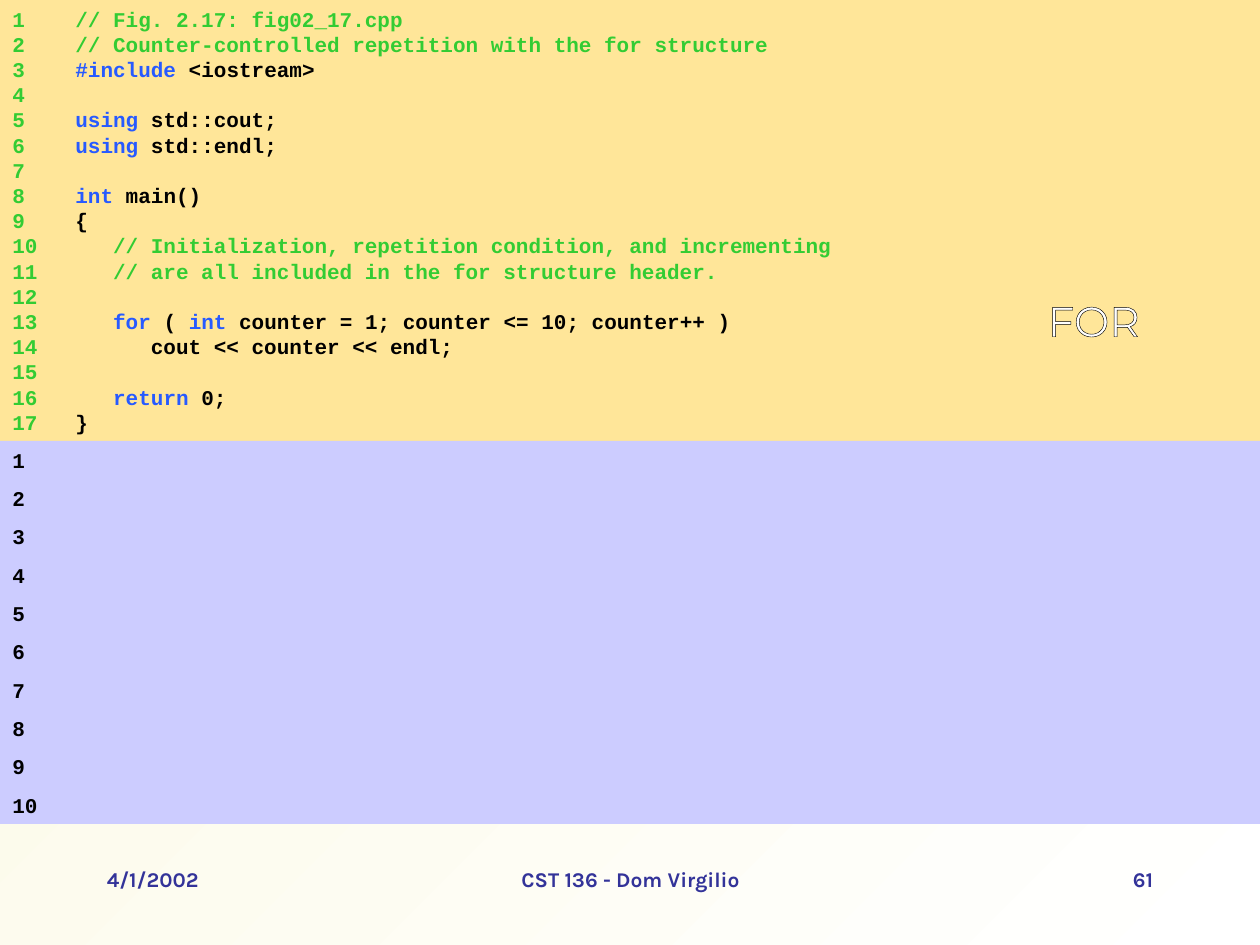
from itertools import groupby

from lxml.etree import SubElement
from pptx import Presentation
from pptx.dml.color import RGBColor
from pptx.enum.shapes import MSO_SHAPE
from pptx.enum.text import MSO_ANCHOR, PP_ALIGN
from pptx.oxml.ns import qn
from pptx.util import Inches, Pt

# Content
CODE = """\
// Fig. 2.17: fig02_17.cpp
// Counter-controlled repetition with the for structure
#include <iostream>

using std::cout;
using std::endl;

int main()
{
   // Initialization, repetition condition, and incrementing
   // are all included in the for structure header.

   for ( int counter = 1; counter <= 10; counter++ )
      cout << counter << endl;

   return 0;
}""".split("\n")
KEYWORDS = {"#include", "using", "int", "for", "return"}
OUTPUT = [str(number) for number in range(1, 11)]
FOOTER = [  # text, left, width, alignment
    ("4/1/2002", 0.75, 2.08, PP_ALIGN.LEFT),
    ("CST 136 - Dom Virgilio", 3.42, 3.17, PP_ALIGN.CENTER),
    ("61", 7.17, 2.08, PP_ALIGN.RIGHT),
]

GREEN, BLUE, BLACK, WHITE = "33CC33", "275AFF", "000000", "FFFFFF"
CODE_FONT = "Courier New"
LINE_PITCH = Pt(14.4)


def color(value):
    return RGBColor.from_string(value)


def add_span(para, text, font=CODE_FONT, size=12, fill=BLACK, bold=True):
    span = para.add_run()
    span.text = text
    span.font.name = font
    span.font.size = Pt(size)
    span.font.bold = bold
    span.font.color.rgb = color(fill)
    return span


def add_panel(top, height, fill):
    panel = page.shapes.add_shape(
        MSO_SHAPE.RECTANGLE, 0, Inches(top), deck.slide_width, Inches(height))
    panel.shadow.inherit = False
    panel.fill.solid()
    panel.fill.fore_color.rgb = color(fill)
    panel.line.fill.background()
    panel.text_frame.word_wrap = True
    panel.text_frame.vertical_anchor = MSO_ANCHOR.TOP
    return panel.text_frame


def add_label(left, top, width, height, align, wrap=True):
    box = page.shapes.add_textbox(
        Inches(left), Inches(top), Inches(width), Inches(height))
    box.text_frame.word_wrap = wrap
    para = box.text_frame.paragraphs[0]
    para.alignment = align
    return para


def add_line(frame, index, space_before=0):
    para = frame.paragraphs[0] if index == 0 else frame.add_paragraph()
    para.alignment = PP_ALIGN.LEFT
    para.line_spacing = LINE_PITCH
    para.space_before = Pt(space_before if index else 0)
    return para


def code_spans(line):
    """Split a line of code into (text, colour) pairs."""
    if line.lstrip().startswith("//"):
        return [(line, GREEN)]
    words = line.split(" ")
    pieces = [(word, word in KEYWORDS) for word in words]
    spaced = [piece for pair in pieces for piece in (pair, (" ", False))][:-1]
    return [("".join(text for text, _ in group), BLUE if is_keyword else BLACK)
            for is_keyword, group in groupby(spaced, key=lambda piece: piece[1])]


# Deck and background
deck = Presentation()
deck.slide_width, deck.slide_height = Inches(10), Inches(7.5)
page = deck.slides.add_slide(deck.slide_layouts[6])
backdrop = page.background.fill
backdrop.gradient()
backdrop.gradient_angle = 135
for stop, position, fill in zip(backdrop.gradient_stops, (0, 1), (WHITE, "FBF8E1")):
    stop.position = position
    stop.color.rgb = color(fill)

# Numbered program listing
listing = add_panel(0, 3.5, "FFE699")
for index, line in enumerate(CODE):
    para = add_line(listing, index)
    number = str(index + 1)
    add_span(para, number.ljust(5) if line else number, fill=GREEN)
    for text, fill in code_spans(line) if line else []:
        add_span(para, text, fill=fill)

# Program output
output = add_panel(3.5, 3.04, "CCCCFF")
for index, text in enumerate(OUTPUT):
    add_span(add_line(output, index, space_before=7.5), text)

# Outlined title
title = add_label(7.77, 2.29, 1.82, 0.71, PP_ALIGN.CENTER, wrap=False)
span = add_span(title, "FOR", font="Montserrat", size=24, fill=WHITE, bold=False)
properties = span.font._element
outline = SubElement(properties, qn("a:ln"), w=str(Pt(0.75)))
SubElement(SubElement(outline, qn("a:solidFill")), qn("a:srgbClr"), val=BLACK)
properties.insert(0, outline)

# Footer
for text, left, width, align in FOOTER:
    add_span(add_label(left, 6.83, width, 0.5, align), text, font="Karla", fill="333399")

deck.save("out.pptx")
